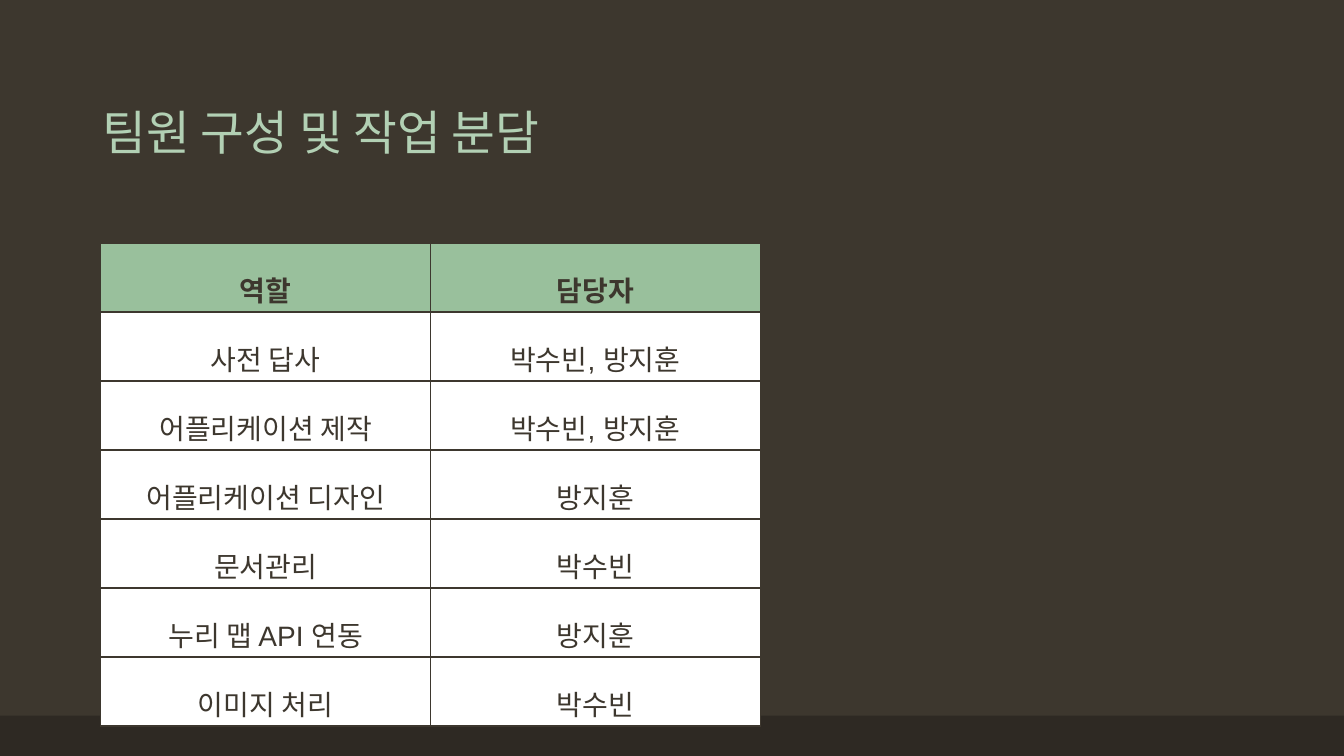
from lxml.etree import SubElement
from pptx import Presentation
from pptx.dml.color import RGBColor
from pptx.enum.shapes import MSO_SHAPE
from pptx.enum.text import MSO_ANCHOR, MSO_AUTO_SIZE, PP_ALIGN
from pptx.oxml.ns import qn
from pptx.util import Inches, Pt

TITLE = "팀원 구성 및 작업 분담"
ROLES = [
    ("역할", "담당자"),
    ("사전 답사", "박수빈, 방지훈"),
    ("어플리케이션 제작", "박수빈, 방지훈"),
    ("어플리케이션 디자인", "방지훈"),
    ("문서관리", "박수빈"),
    ("누리 맵 API 연동", "방지훈"),
    ("이미지 처리", "박수빈"),
]
COLORS = {"bg": "3D372E", "band": "2E2923", "title": "B2D0B4",
          "header": "99C09C", "body": "FFFFFF", "ink": "3D372E"}
SLIDE_W, SLIDE_H = 13.33, 7.5
BAND_H = 0.4
TABLE_LEFT, TABLE_TOP = 1, 2.41
COL_W, ROW_H = 3.27, 0.59


def color(name):
    return RGBColor.from_string(COLORS[name])


def paint(fill, name):
    fill.solid()
    fill.fore_color.rgb = color(name)


def write(tf, text, *, font, size, ink, bold=False, align=PP_ALIGN.LEFT, spacing=1.0):
    p = tf.paragraphs[0]
    p.alignment, p.line_spacing = align, spacing
    r = p.add_run()
    r.text = text
    r.font.name, r.font.size, r.font.bold = font, Pt(size), bold
    r.font.color.rgb = color(ink)


def add_borders(cell):
    """Draw 1 pt lines on all four sides; they must precede the cell's fill."""
    tc_pr = cell._tc.get_or_add_tcPr()
    for side in ("a:lnL", "a:lnR", "a:lnT", "a:lnB"):
        ln = SubElement(tc_pr, qn(side), w=str(Pt(1)))
        fill = SubElement(ln, qn("a:solidFill"))
        SubElement(fill, qn("a:srgbClr"), val=COLORS["ink"])


def add_band(slide):
    sp = slide.shapes.add_shape(MSO_SHAPE.RECTANGLE, 0, Inches(SLIDE_H - BAND_H),
                                Inches(SLIDE_W), Inches(BAND_H))
    sp.shadow.inherit = False
    paint(sp.fill, "band")
    sp.line.fill.background()


def set_title(slide):
    sp = slide.shapes.title
    sp.left, sp.top, sp.width, sp.height = map(Inches, (0.92, 0.4, 11.5, 1.25))
    tf = sp.text_frame
    tf.auto_size, tf.vertical_anchor = MSO_AUTO_SIZE.NONE, MSO_ANCHOR.BOTTOM
    write(tf, TITLE, font="TeX Gyre Schola", size=34, ink="title", spacing=0.9)


def add_role_table(slide):
    rows, cols = len(ROLES), len(ROLES[0])
    table = slide.shapes.add_table(
        rows, cols, Inches(TABLE_LEFT), Inches(TABLE_TOP),
        Inches(cols * COL_W), Inches(rows * ROW_H)).table
    table.horz_banding = False
    for i, row in enumerate(ROLES):
        for j, text in enumerate(row):
            cell = table.cell(i, j)
            add_borders(cell)
            paint(cell.fill, "body" if i else "header")
            cell.vertical_anchor = MSO_ANCHOR.MIDDLE
            cell.margin_left = cell.margin_right = Inches(0.07)
            cell.margin_top = cell.margin_bottom = Inches(0.02)
            write(cell.text_frame, text, font="Arial", size=20, ink="ink",
                  bold=i == 0, align=PP_ALIGN.CENTER, spacing=1.6)


def main():
    prs = Presentation()
    prs.slide_width, prs.slide_height = Inches(SLIDE_W), Inches(SLIDE_H)
    slide = prs.slides.add_slide(prs.slide_layouts[5])
    paint(slide.background.fill, "bg")
    add_band(slide)
    set_title(slide)
    add_role_table(slide)
    prs.save("out.pptx")


if __name__ == "__main__":
    main()
